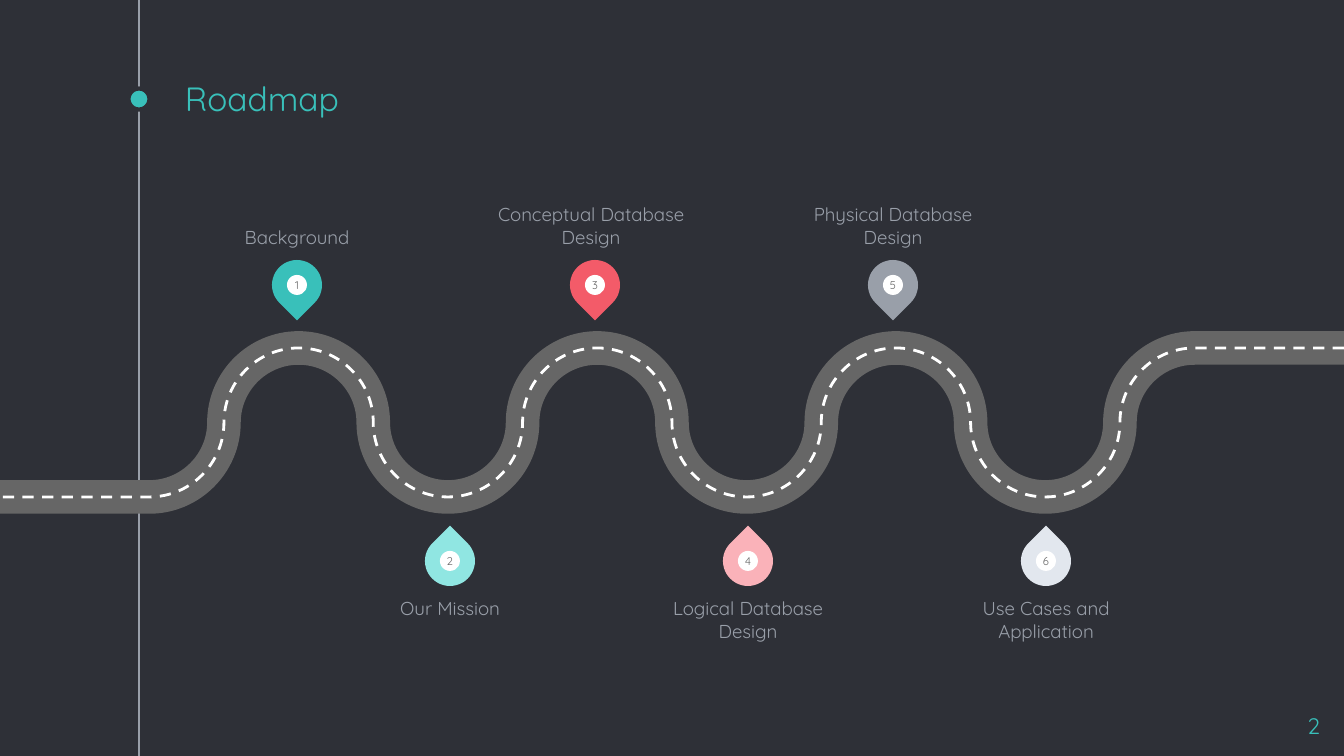
import lxml.etree
import pptx
import pptx.dml.color
import pptx.enum.dml
import pptx.enum.shapes
import pptx.enum.text
import pptx.oxml.ns
import pptx.util

RGB = pptx.dml.color.RGBColor
SHAPE = pptx.enum.shapes.MSO_SHAPE
ALIGN = pptx.enum.text.PP_ALIGN
ANCHOR = pptx.enum.text.MSO_ANCHOR
qn = pptx.oxml.ns.qn

NIGHT = RGB(0x2E, 0x30, 0x37)
TEAL = RGB(0x39, 0xC0, 0xBA)
PALE_TEAL = RGB(0x90, 0xE6, 0xE2)
CORAL = RGB(0xF3, 0x5B, 0x69)
PALE_CORAL = RGB(0xFA, 0xB2, 0xB9)
SLATE = RGB(0x99, 0x9F, 0xA9)
MIST = RGB(0xE2, 0xE7, 0xEE)
ASPHALT = RGB(0x66, 0x66, 0x66)
WHITE = RGB(0xFF, 0xFF, 0xFF)

FONT = "Quicksand"
EMU_PER_PX = 914400 / 134.4
WIDTH, HEIGHT = 1344, 756
ROAD_TOP, ROAD_BOTTOM = 348, 497
ROAD_MIDDLE = (ROAD_TOP + ROAD_BOTTOM) / 2
BEND_RADIUS = WIDTH / 18
QUARTER_BENDS = 14
ARC_HANDLE = 0.55  # Bézier handle length of a quarter circle, in radii
PIN_SIZE, BADGE_SIZE = 50, 20
LABEL_WIDTH, LABEL_HEIGHT = 190, 78
PIN_STEP = 298

# Label, pin colour, sideways shift of the label
UPPER_STOPS = [
    ("Background", TEAL, 0),
    ("Conceptual Database Design", CORAL, -4),
    ("Physical Database Design", SLATE, 0),
]
LOWER_STOPS = [
    ("Our Mission", PALE_TEAL, 0),
    ("Logical Database Design", PALE_CORAL, 0),
    ("Use Cases and Application", MIST, 0),
]


def px(length):
    return pptx.util.Emu(round(length * EMU_PER_PX))


def set_text(shape, text, size, color, align, anchor, inset=0):
    frame = shape.text_frame
    frame.text = text
    frame.word_wrap = True
    frame.vertical_anchor = anchor
    frame.margin_left = frame.margin_right = px(inset)
    frame.margin_top = frame.margin_bottom = px(inset)
    paragraph = frame.paragraphs[0]
    paragraph.alignment = align
    font = paragraph.runs[0].font
    font.name = FONT
    font.size = pptx.util.Pt(size)
    font.color.rgb = color


def add_text(slide, box, *style, inset=0):
    set_text(slide.shapes.add_textbox(*map(px, box)), *style, inset=inset)


def add_centred(shapes, preset, x, y, size, color):
    """Add a borderless square-boxed shape centred on x, y."""
    shape = shapes.add_shape(
        preset, px(x - size / 2), px(y - size / 2), px(size), px(size))
    shape.shadow.inherit = False
    shape.fill.solid()
    shape.fill.fore_color.rgb = color
    shape.line.fill.background()
    return shape


def add_timeline(slide):
    rail = slide.shapes.add_connector(
        pptx.enum.shapes.MSO_CONNECTOR.STRAIGHT, px(139), 0, px(139), px(HEIGHT))
    rail.line.color.rgb = SLATE
    rail.line.width = pptx.util.Pt(0.75)
    lxml.etree.SubElement(rail.element.spPr, qn("a:effectLst"))
    dot = add_centred(slide.shapes, SHAPE.OVAL, 139, 99, 21, TEAL)
    dot.line.color.rgb = NIGHT
    dot.line.width = pptx.util.Pt(2.25)


def bend_points():
    """Give two handles and an end for each quarter bend, right to left."""
    handle = ARC_HANDLE * BEND_RADIUS
    points = []
    for quarter in range(QUARTER_BENDS):
        start = (QUARTER_BENDS + 2 - quarter) * BEND_RADIUS
        end = start - BEND_RADIUS
        crest = ROAD_TOP if (quarter + 1) // 2 % 2 == 0 else ROAD_BOTTOM
        steep = ROAD_MIDDLE + (crest - ROAD_MIDDLE) * ARC_HANDLE
        if quarter % 2 == 0:
            points += [(start - handle, crest), (end, steep), (end, ROAD_MIDDLE)]
        else:
            points += [(start, steep), (end + handle, crest), (end, crest)]
    return points


def curve_bends(road):
    """Join each three inner line segments into one Bézier curve."""
    segments = list(road.element.iter(qn("a:lnTo")))[1:-1]
    for i in range(0, len(segments), 3):
        curve = lxml.etree.Element(qn("a:cubicBezTo"))
        segments[i].addprevious(curve)
        for segment in segments[i:i + 3]:
            curve.append(segment[0])
            segment.getparent().remove(segment)


def add_road_line(slide, color, width, dash=None):
    bends_start = (QUARTER_BENDS + 2) * BEND_RADIUS
    points = [(bends_start, ROAD_TOP), *bend_points(), (0, ROAD_BOTTOM)]
    builder = slide.shapes.build_freeform(px(WIDTH), px(ROAD_TOP))
    builder.add_line_segments([(px(x), px(y)) for x, y in points], close=False)
    road = builder.convert_to_shape()
    curve_bends(road)
    road.shadow.inherit = False
    road.fill.background()
    road.line.color.rgb = color
    road.line.width = pptx.util.Pt(width)
    if dash:
        road.line.dash_style = dash


def add_pin(slide, x, y, rotation, color, number):
    pin = slide.shapes.add_group_shape()
    drop = add_centred(pin.shapes, SHAPE.TEAR, x, y, PIN_SIZE, color)
    drop.rotation = rotation
    badge = add_centred(pin.shapes, SHAPE.OVAL, x, y, BADGE_SIZE, WHITE)
    set_text(badge, str(number), 6, ASPHALT, ALIGN.CENTER, ANCHOR.MIDDLE)


def add_stops(slide, stops, first_x, pin_y, rotation, first_number, label_top, anchor):
    for i, (label, color, shift) in enumerate(stops):
        x = first_x + i * PIN_STEP
        add_pin(slide, x, pin_y, rotation, color, first_number + 2 * i)
        box = (x + shift - LABEL_WIDTH / 2, label_top, LABEL_WIDTH, LABEL_HEIGHT)
        add_text(slide, box, label, 10, SLATE, ALIGN.CENTER, anchor)


def main():
    deck = pptx.Presentation()
    deck.slide_width, deck.slide_height = px(WIDTH), px(HEIGHT)
    slide = deck.slides.add_slide(deck.slide_layouts[6])
    slide.background.fill.solid()
    slide.background.fill.fore_color.rgb = NIGHT

    add_timeline(slide)
    add_text(slide, (172, 80, 1008, 51), "Roadmap", 18, TEAL,
             ALIGN.LEFT, ANCHOR.BOTTOM, inset=13)
    add_text(slide, (1253, 699, 80, 46), "2", 12, TEAL,
             ALIGN.RIGHT, ANCHOR.TOP, inset=13)
    add_road_line(slide, ASPHALT, 18)
    add_road_line(slide, WHITE, 1.5, pptx.enum.dml.MSO_LINE.DASH)
    add_stops(slide, UPPER_STOPS, 297, 285, 135, 1, 170, ANCHOR.BOTTOM)
    add_stops(slide, LOWER_STOPS, 450, 561, 315, 2, 597, ANCHOR.TOP)
    deck.save("out.pptx")


if __name__ == "__main__":
    main()
